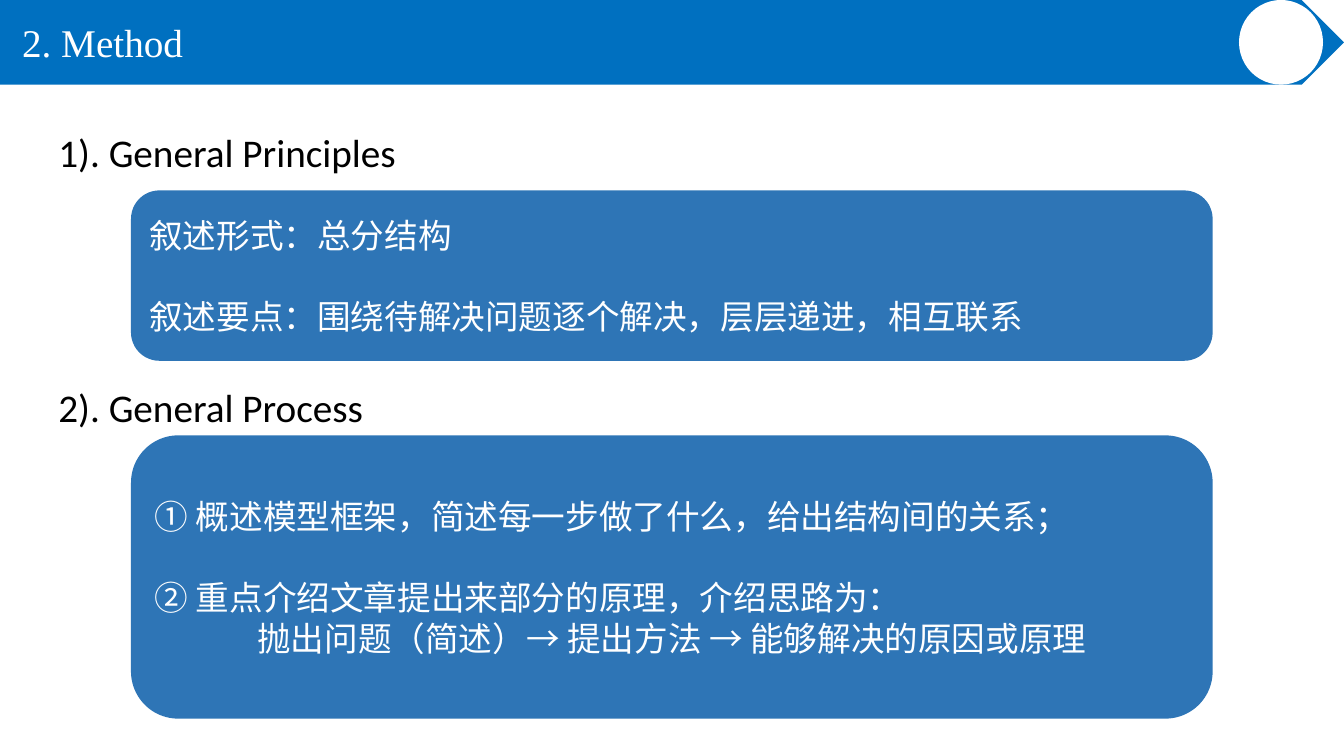
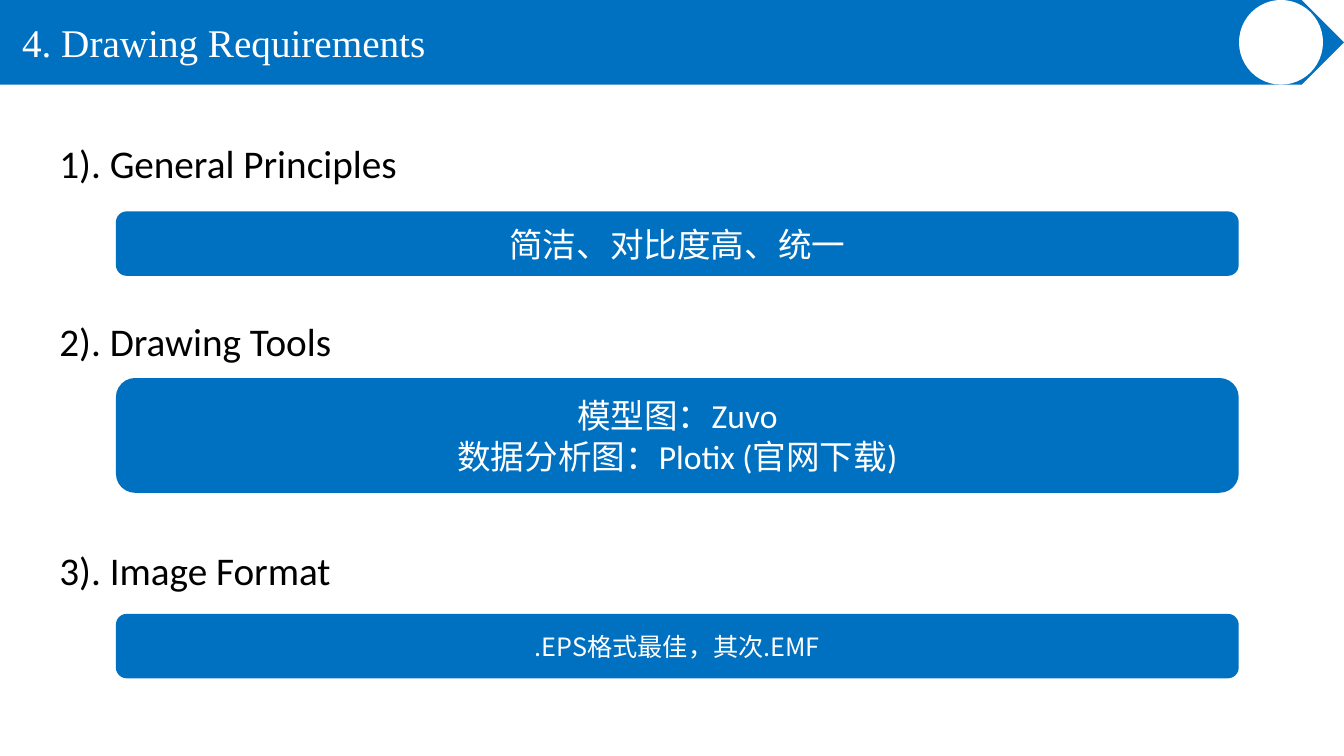
from dataclasses import dataclass

from lxml.etree import SubElement
from pptx import Presentation
from pptx.dml.color import RGBColor as RGB
from pptx.enum.shapes import MSO_SHAPE as SHAPE
from pptx.enum.text import MSO_ANCHOR as ANCHOR, PP_ALIGN as ALIGN
from pptx.oxml.ns import qn
from pptx.util import Pt


@dataclass(frozen=True)
class Theme:
    blue: RGB = RGB(0x00, 0x70, 0xC0)
    steel: RGB = RGB(0x2E, 0x75, 0xB6)
    white: RGB = RGB(0xFF, 0xFF, 0xFF)
    black: RGB = RGB(0x00, 0x00, 0x00)
    title_font: str = "Times New Roman"
    latin_font: str = "Calibri"
    cjk_font: str = "Noto Sans CJK SC"
    heading_size: int = 28
    body_size: int = 24
    small_size: int = 18
    line: int = 29


T = Theme()
WIDTH, HEIGHT = 960, 540
BAND_HEIGHT = 60.5


def write(tf, text, size=T.body_size, font=T.cjk_font, color=T.white,
          align=ALIGN.LEFT, anchor=ANCHOR.MIDDLE, line=None, before=0, first=True):
    tf.word_wrap = True
    tf.vertical_anchor = anchor
    p = tf.paragraphs[0] if first else tf.add_paragraph()
    p.alignment = align
    p.space_before = Pt(before)
    if line:
        p.line_spacing = Pt(line)
    r = p.add_run()
    r.text = text
    r.font.size = Pt(size)
    r.font.name = font
    r.font.color.rgb = color
    SubElement(r.font._element, qn("a:ea")).set("typeface", T.cjk_font)


def add_block(s, kind, left, top, width, height, fill):
    sp = s.shapes.add_shape(kind, Pt(left), Pt(top), Pt(width), Pt(height))
    sp.shadow.inherit = False
    sp.fill.solid()
    sp.fill.fore_color.rgb = fill
    sp.line.fill.background()
    return sp


def add_titled_slide(prs, text):
    s = prs.slides.add_slide(prs.slide_layouts[5])
    add_block(s, SHAPE.PENTAGON, 0, 0, WIDTH, BAND_HEIGHT, T.blue)
    add_block(s, SHAPE.OVAL, 885, 0, 60, BAND_HEIGHT, T.white)
    title = s.shapes.title
    title.left, title.top, title.width, title.height = Pt(8.6), Pt(9.4), Pt(531), Pt(41)
    write(title.text_frame, text, size=T.heading_size, font=T.title_font)
    title.element.getparent().append(title.element)
    return s


def add_heading(s, text, left, top):
    sp = s.shapes.add_textbox(Pt(left), Pt(top), Pt(400), Pt(41))
    write(sp.text_frame, text, size=T.heading_size, font=T.latin_font,
          color=T.black, anchor=ANCHOR.TOP)


def add_panel(s, box, fill, lines, **shared):
    sp = add_block(s, SHAPE.ROUNDED_RECTANGLE, *box, fill)
    for i, (text, own) in enumerate(lines):
        write(sp.text_frame, text, first=i == 0, **{"line": T.line, **shared, **own})


def build_method(prs):
    s = add_titled_slide(prs, "2. Method")
    left, width = 93.6, 772.6
    gap = {"before": T.line}
    sections = [
        ("1). General Principles", 87.8, 136, 121.7, [
            ("叙述形式：总分结构", {}),
            ("叙述要点：围绕待解决问题逐个解决，层层递进，相互联系", gap),
        ]),
        ("2). General Process", 270, 311, 202.3, [
            ("① 概述模型框架，简述每一步做了什么，给出结构间的关系；", {}),
            ("② 重点介绍文章提出来部分的原理，介绍思路为：", gap),
            ("抛出问题（简述）→ 提出方法 → 能够解决的原因或原理", {"align": ALIGN.CENTER}),
        ]),
    ]
    for heading, heading_top, top, height, lines in sections:
        add_heading(s, heading, 34.6, heading_top)
        add_panel(s, (left, top, width, height), T.steel, lines, align=ALIGN.JUSTIFY)


def build_drawing(prs):
    s = add_titled_slide(prs, "4. Drawing Requirements")
    left, width = 82.8, 802
    latin = {"font": T.latin_font}
    sections = [
        ("1). General Principles", 95.8, 151, 46, [("简洁、对比度高、统一", {})]),
        ("2). Drawing Tools", 223.2, 270, 82, [
            ("模型图：Zuvo", latin),
            ("数据分析图：Plotix (官网下载)", latin),
        ]),
        ("3). Image Format", 386.6, 438.5, 46, [
            (".EPS格式最佳，其次.EMF", {"size": T.small_size, "line": None}),
        ]),
    ]
    for heading, heading_top, top, height, lines in sections:
        add_heading(s, heading, 35.3, heading_top)
        add_panel(s, (left, top, width, height), T.blue, lines, align=ALIGN.CENTER)


def main():
    prs = Presentation()
    prs.slide_width, prs.slide_height = Pt(WIDTH), Pt(HEIGHT)
    build_method(prs)
    build_drawing(prs)
    prs.save("out.pptx")


if __name__ == "__main__":
    main()
